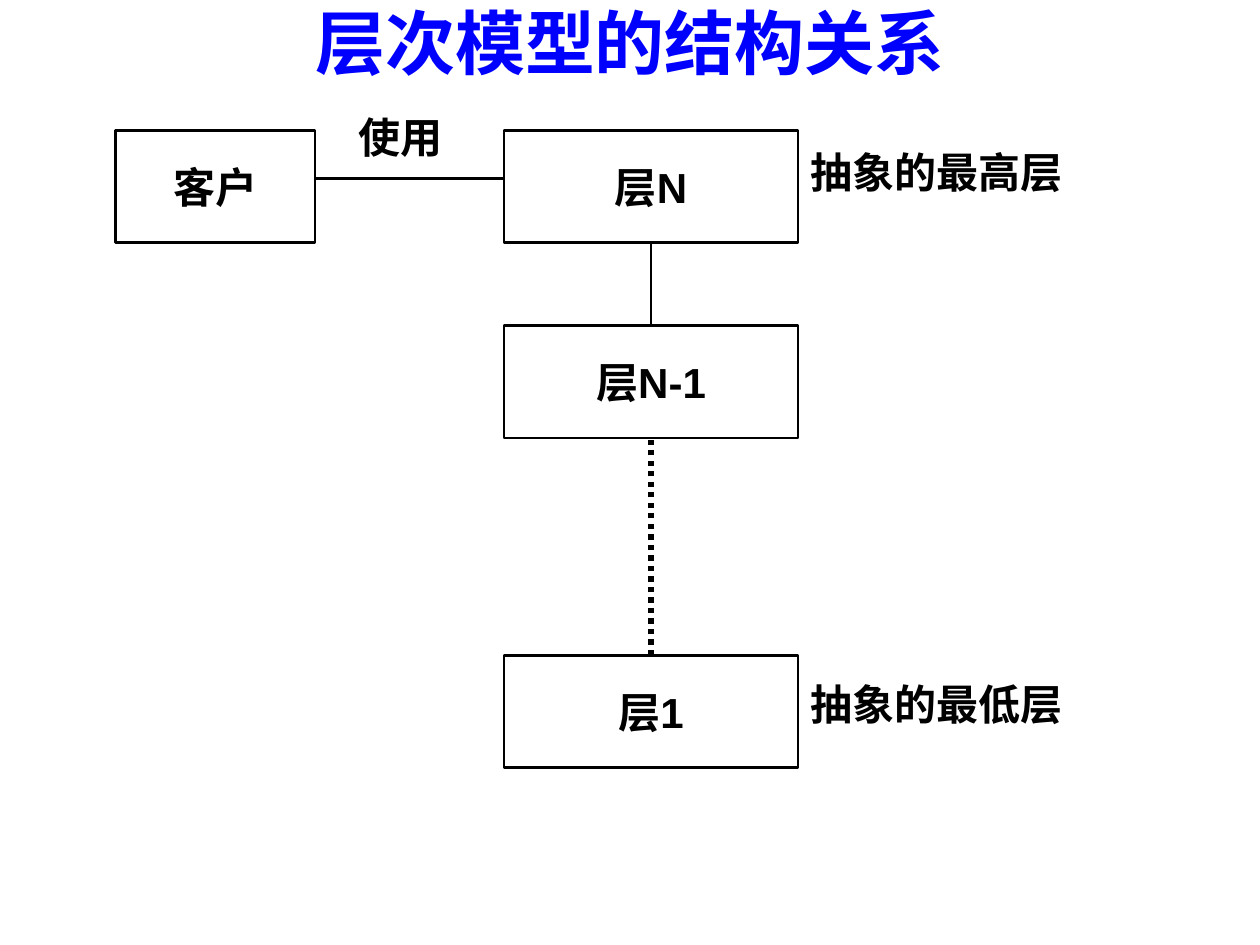
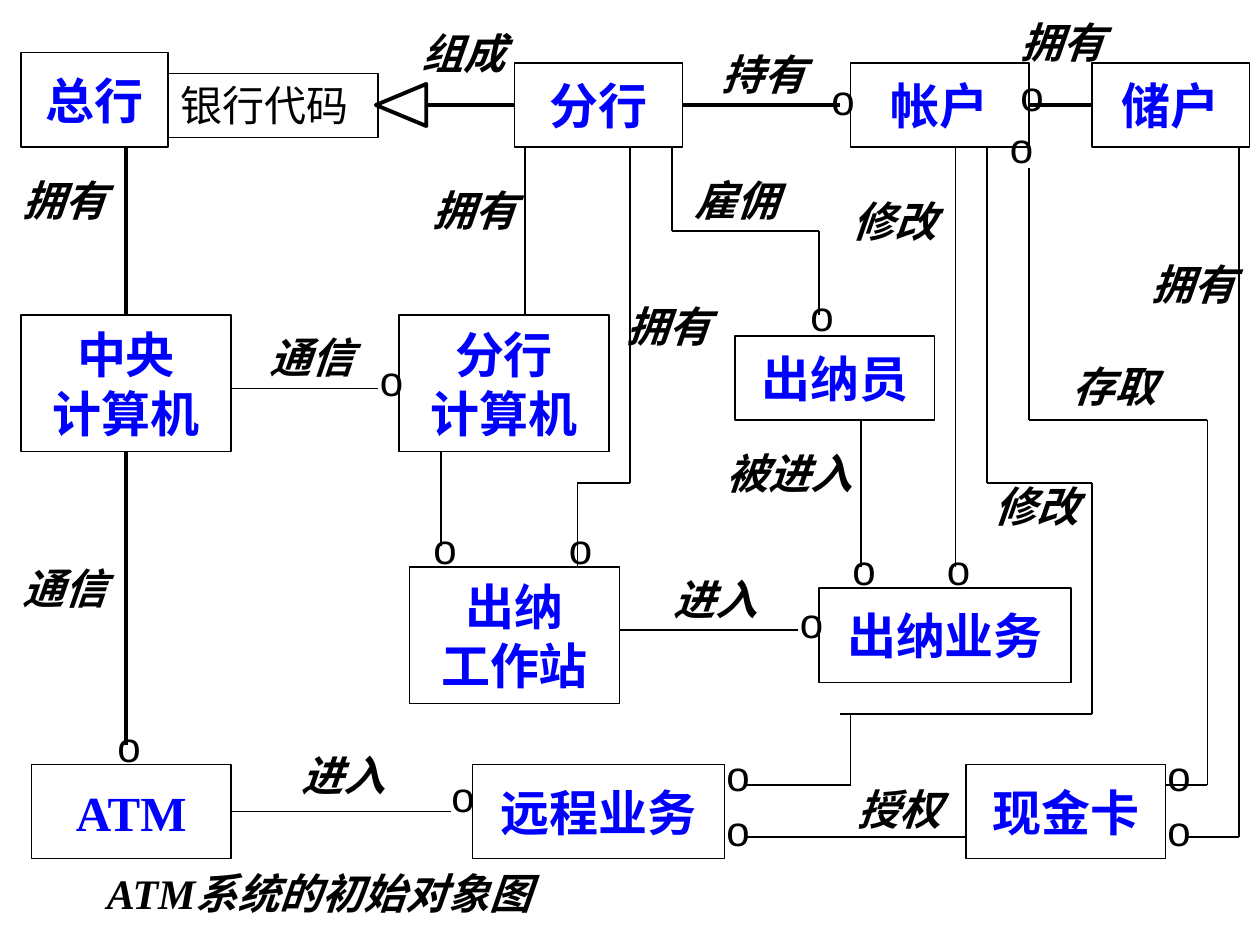
import itertools
from dataclasses import dataclass, field

import pptx
import pptx.dml.color
import pptx.enum.dml
import pptx.enum.shapes
import pptx.enum.text
import pptx.oxml.ns
import pptx.util
from lxml import etree

SHAPE = pptx.enum.shapes.MSO_SHAPE
ALIGN = pptx.enum.text.PP_ALIGN
ANCHOR = pptx.enum.text.MSO_ANCHOR
FIT = pptx.enum.text.MSO_AUTO_SIZE
DOTTED = pptx.enum.dml.MSO_LINE.ROUND_DOT


@dataclass
class Theme:
    ink: str = "000000"
    accent: str = "0000FF"
    hairline: float = 0.75
    thin: float = 1
    medium: float = 1.5
    thick: float = 2.25
    dots: float = 3
    fonts: dict = field(default_factory=lambda: {
        "title": {"name": "Times New Roman", "size": pptx.util.Pt(40), "bold": True},
        "layer": {"name": "Arial", "size": pptx.util.Pt(24), "bold": True},
        "entity": {"name": "Times New Roman", "size": pptx.util.Pt(28), "bold": True},
        "relation": {"name": "Times New Roman", "size": pptx.util.Pt(24), "bold": True, "italic": True},
        "code": {"name": "Times New Roman", "size": pptx.util.Pt(24)},
        "many": {"name": "Arial", "size": pptx.util.Pt(24)},
    })


theme = Theme()
deck = pptx.Presentation()
deck.slide_width = pptx.util.Inches(10)
deck.slide_height = pptx.util.Inches(7.5)
COLUMNS, ROWS = 120, 90
column = deck.slide_width / COLUMNS
row = deck.slide_height / ROWS


def place(slide, cell, text, style, border=None, color=theme.ink, align=ALIGN.CENTER,
          kind=SHAPE.RECTANGLE, **frame_format):
    left, top, width, height = cell
    spot = [round(v) for v in (left * column, top * row, width * column, height * row)]
    if border:
        part = slide.shapes.add_shape(kind, *spot)
        part.shadow.inherit = False
        part.fill.background()
        part.line.color.rgb = pptx.dml.color.RGBColor.from_string(theme.ink)
        part.line.width = pptx.util.Pt(border)
    else:
        part = slide.shapes.add_textbox(*spot)
    part.text_frame.text = text
    layout = {"word_wrap": False, "vertical_anchor": ANCHOR.MIDDLE, **frame_format}
    for key, value in layout.items():
        setattr(part.text_frame, key, value)
    for paragraph in part.text_frame.paragraphs:
        paragraph.alignment = align
        for key, value in theme.fonts[style].items():
            setattr(paragraph.font, key, value)
        paragraph.font.color.rgb = pptx.dml.color.RGBColor.from_string(color)
    return part


def link(slide, stops, weight, boxes, dash=None):
    for start, end in itertools.pairwise(stops):
        ends = [(round(x * column), round(y * row)) for x, y in (start, end)]
        line = slide.shapes.add_connector(
            pptx.enum.shapes.MSO_CONNECTOR.STRAIGHT, *ends[0], *ends[1])
        line.line.color.rgb = pptx.dml.color.RGBColor.from_string(theme.ink)
        line.line.width = pptx.util.Pt(weight)
        if dash:
            line.line.dash_style = dash
        etree.SubElement(line.element.spPr, pptx.oxml.ns.qn("a:effectLst"))
        for box in boxes:
            middle_x, middle_y = box.left + box.width / 2, box.top + box.height / 2
            sides = [(middle_x, box.top), (box.left, middle_y),
                     (middle_x, box.top + box.height), (box.left + box.width, middle_y)]
            for side, (x, y) in enumerate(sides):
                for (end_x, end_y), join in zip(ends, (line.begin_connect, line.end_connect)):
                    if max(abs(end_x - x), abs(end_y - y)) < column / 10:
                        join(box, side)


label_format = {"align": ALIGN.LEFT, "vertical_anchor": ANCHOR.TOP,
                "auto_size": FIT.SHAPE_TO_FIT_TEXT}
LABEL_HEIGHT, CHARACTER, LABEL_INSETS = 6, 4, 2.4

layers_slide = deck.slides.add_slide(deck.slide_layouts[6])
place(layers_slide, (0, 0, COLUMNS, 8), "层次模型的结构关系", "title",
      color=theme.accent, word_wrap=True)

LAYER_LEFT, LAYER_WIDTH, LAYER_HEIGHT = 48, 28, 10.7
layer_middle = LAYER_LEFT + LAYER_WIDTH / 2
layer_tops = {"层N": 12.4, "层N-1": 31, "层1": 62.4}
layers = [place(layers_slide, (LAYER_LEFT, top, LAYER_WIDTH, LAYER_HEIGHT), name,
                "layer", theme.medium) for name, top in layer_tops.items()]
place(layers_slide, (11, layer_tops["层N"], 19, LAYER_HEIGHT), "客户", "layer", theme.medium)

link(layers_slide, [(30, 17), (LAYER_LEFT, 17)], theme.medium, layers)
for upper, lower, weight, dash in [("层N", "层N-1", theme.medium, None),
                                   ("层N-1", "层1", theme.dots, DOTTED)]:
    link(layers_slide, [(layer_middle, layer_tops[lower]),
                        (layer_middle, layer_tops[upper] + LAYER_HEIGHT)], weight, layers, dash)

for text, left, top in [("使用", 33, 10), ("抽象的最高层", 76, 13.4), ("抽象的最低层", 76, 64)]:
    width = len(text) * CHARACTER + LABEL_INSETS
    place(layers_slide, (left, top, width, LABEL_HEIGHT), text, "layer", **label_format)

atm_slide = deck.slides.add_slide(deck.slide_layouts[6])
entities = [
    place(atm_slide, cell, name, "entity", theme.hairline, theme.accent)
    for name, cell in [
        ("总行", (2, 5, 14, 9)),
        ("分行", (49, 6, 16, 8)),
        ("帐户", (81, 6, 17, 8)),
        ("储户", (104, 6, 15, 8)),
        ("中央\n计算机", (2, 30, 20, 13)),
        ("分行\n计算机", (38, 30, 20, 13)),
        ("出纳员", (70, 32, 19, 8)),
        ("出纳\n工作站", (39, 54, 20, 13)),
        ("出纳业务", (78, 56, 24, 9)),
        ("ATM", (3, 72.8, 19, 9)),
        ("远程业务", (45, 72.8, 24, 9)),
        ("现金卡", (92, 72.8, 19, 9)),
    ]
]
place(atm_slide, (16, 7, 20, 6.1), "银行代码", "code", theme.hairline,
      **{**label_format, "word_wrap": True})
aggregation = place(atm_slide, (36.2, 7.6, 4, 4.8), "", "code", theme.thick,
                    kind=SHAPE.ISOSCELES_TRIANGLE)
aggregation.rotation = 270

main_routes = [
    [(12, 14), (12, 30)],
    [(12, 43), (12, 71)],
    [(40.5, 10), (49, 10)],
    [(65, 10), (80, 10)],
    [(98, 10), (104, 10)],
]
UPPER_CARD, LOWER_CARD = 74.8, 79.7
side_routes = [
    [(22, 37), (36, 37)],
    [(50, 14), (50, 30)],
    [(42, 43), (42, 52)],
    [(91, 14), (91, 54)],
    [(82, 54), (82, 40)],
    [(76, 60), (59, 60)],
    [(22, 77.3), (43, 77.3)],
    [(60, 14), (60, 46), (55, 46), (55, 54)],
    [(64, 14), (64, 22), (78, 22), (78, 30)],
    [(71, LOWER_CARD), (92, LOWER_CARD)],
    [(71, UPPER_CARD), (81, UPPER_CARD), (81, 68)],
    [(80, 68), (104, 68), (104, 46), (94, 46), (94, 14)],
    [(98, 16), (98, 40), (115, 40), (115, UPPER_CARD), (111, UPPER_CARD)],
    [(118, 14), (118, LOWER_CARD), (113, LOWER_CARD)],
]
for weight, routes in [(theme.thick, main_routes), (theme.thin, side_routes)]:
    for stops in routes:
        link(atm_slide, stops, weight, entities)

many_ends = [
    (78, 6.4), (96, 6), (95, 11), (76, 27), (35, 33.2), (40.1, 49.2), (53, 49.2),
    (80, 51.2), (89, 51.2), (75, 56.2), (10, 68), (41.8, 72.8),
    *itertools.product((68, 110), (70.8, 76)),
]
for left, top in many_ends:
    place(atm_slide, (left, top, 4.6, LABEL_HEIGHT), "ο", "many", **label_format)

relations = [
    ("组成", 39, 2), ("持有", 67.5, 4), ("拥有", 96, 1),
    ("拥有", 1, 16), ("拥有", 40, 17), ("雇佣", 65, 16), ("修改", 80, 18),
    ("拥有", 108.5, 24), ("拥有", 58.5, 28), ("通信", 24.5, 31), ("存取", 101, 33.7),
    ("被进入", 68, 42), ("修改", 93.5, 45.2), ("通信", 1, 53), ("进入", 63, 54),
    ("进入", 27.5, 70.8), ("授权", 80.5, 74),
]
for text, left, top in relations:
    width = len(text) * CHARACTER + LABEL_INSETS
    place(atm_slide, (left, top, width, LABEL_HEIGHT), text, "relation", **label_format)
place(atm_slide, (9, 82, 112.8, LABEL_HEIGHT), "ATM系统的初始对象图", "relation",
      **{**label_format, "word_wrap": True})

deck.save("out.pptx")
